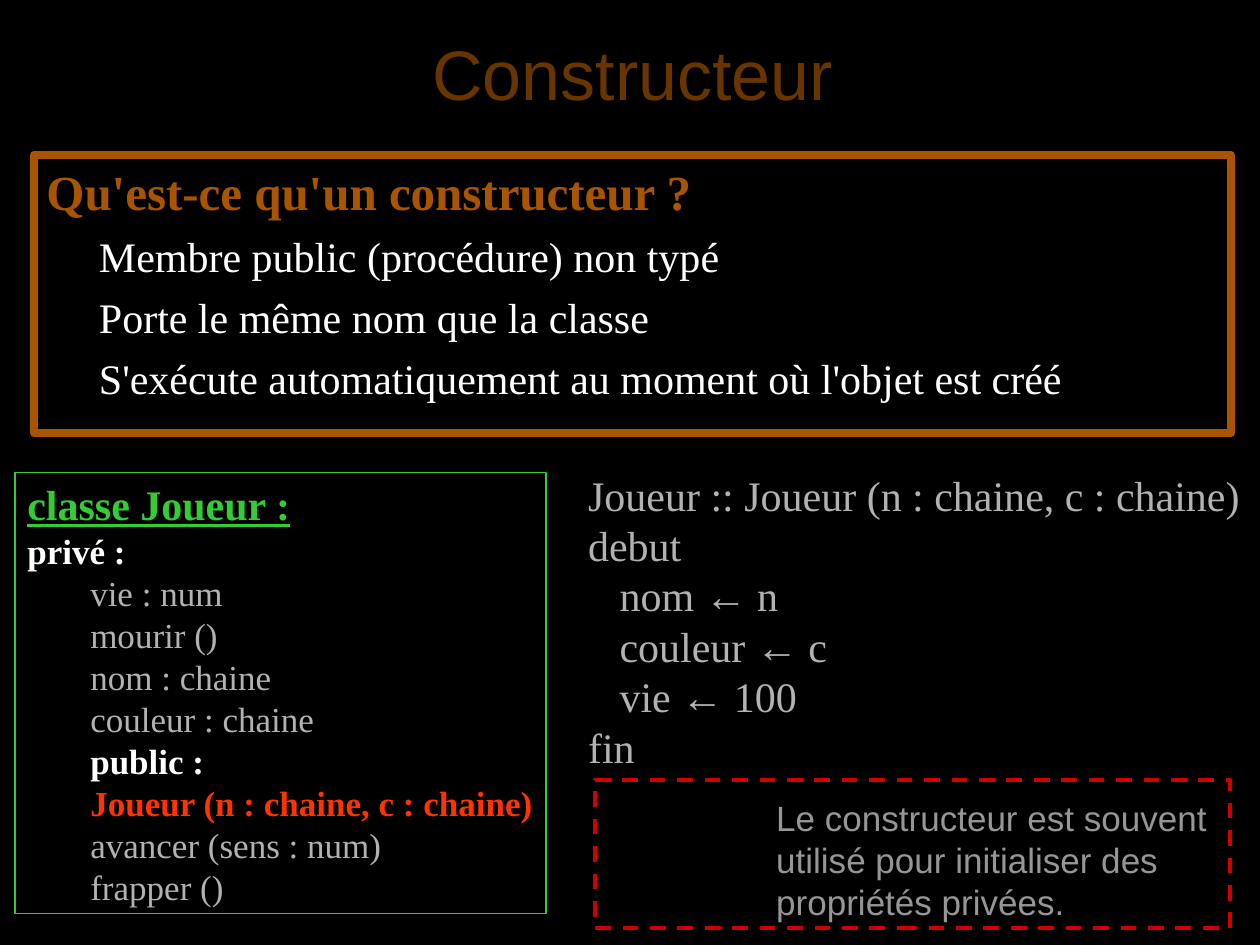
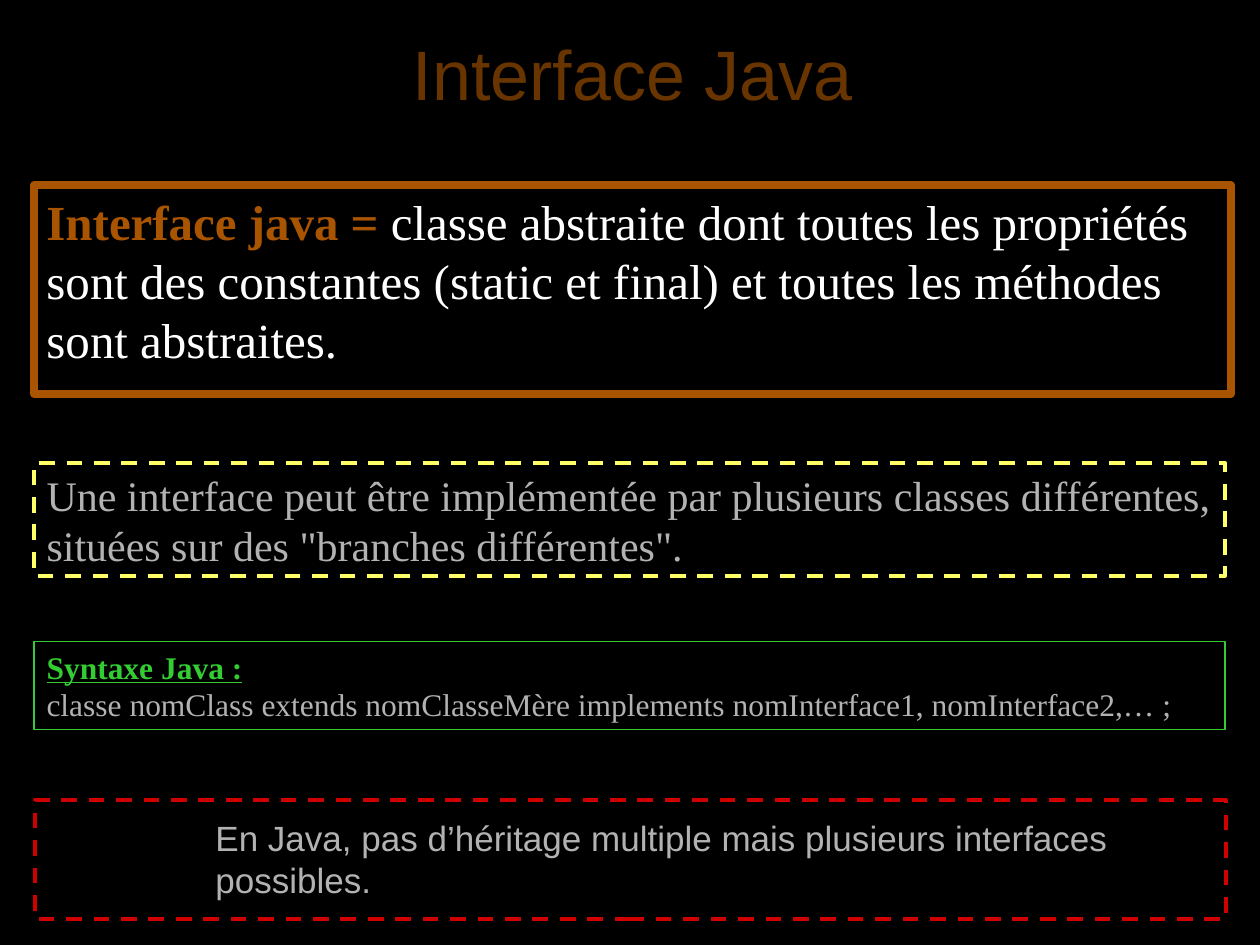
from dataclasses import dataclass

from lxml import etree
from pptx import Presentation, util as u
from pptx.dml.color import RGBColor
from pptx.enum import dml, shapes, text
from pptx.oxml.ns import qn


# Shared look
@dataclass(frozen=True)
class Theme:
    background: str = "000000"
    title: str = "683400"
    accent: str = "A85400"
    white: str = "FFFFFF"
    grey: str = "B2B2B2"
    dim_grey: str = "969696"
    green: str = "33CC33"
    red: str = "D00000"
    orange_red: str = "FF3300"
    yellow: str = "FFFF66"
    serif: str = "Times New Roman"
    sans: str = "Arial"
    title_size: int = 40
    heading_size: int = 28
    text_size: int = 24
    small_size: int = 20
    syntax_size: int = 18
    line_height: float = 1.2
    thin: float = 0.75
    dashed: float = 2.25
    thick: float = 4.5


THEME = Theme()


@dataclass
class Line:
    """One paragraph: a string, or a list of (text, run overrides)."""
    content: object
    size: int = THEME.text_size
    color: str = THEME.grey
    font: str = THEME.serif
    bold: bool = False
    underline: bool = False
    indent: float = 0
    before: float = 0


# Text
def format_font(font, name=None, size=None, color=None, bold=None, underline=None):
    if size is not None:
        font.size = u.Pt(size)
    if bold is not None:
        font.bold = bold
    if underline is not None:
        font.underline = underline
    if color is not None:
        font.color.rgb = RGBColor.from_string(color)
    if name is not None:
        font.name = name


def write_lines(shape, lines, right_inset=7.2):
    frame = shape.text_frame
    frame.word_wrap = True
    frame.vertical_anchor = text.MSO_ANCHOR.TOP
    frame.margin_right = u.Pt(right_inset)
    for index, line in enumerate(lines):
        paragraph = frame.paragraphs[0] if index == 0 else frame.add_paragraph()
        paragraph.alignment = text.PP_ALIGN.LEFT
        paragraph.line_spacing = u.Pt(line.size * THEME.line_height)
        if line.before:
            paragraph.space_before = u.Pt(line.before)
        if line.indent:
            properties = paragraph._p.get_or_add_pPr()
            properties.set("marL", str(u.Pt(line.indent)))
            properties.set("indent", "0")
        format_font(paragraph.font, line.font, line.size, line.color,
                    line.bold, line.underline)
        runs = [(line.content, {})] if isinstance(line.content, str) else line.content
        for words, overrides in runs:
            run = paragraph.add_run()
            run.text = words
            format_font(run.font, **overrides)


def add_text(slide, place, lines):
    write_lines(slide.shapes.add_textbox(*map(u.Pt, place)), lines)


# Frames
def add_frame(slide, place, color, width, dashed=False, lines=(), right_inset=7.2):
    frame = slide.shapes.add_shape(shapes.MSO_SHAPE.RECTANGLE, *map(u.Pt, place))
    frame.shadow.inherit = False
    frame.fill.background()
    frame.line.color.rgb = RGBColor.from_string(color)
    frame.line.width = u.Pt(width)
    if dashed:
        frame.line.dash_style = dml.MSO_LINE.DASH
    if lines:
        write_lines(frame, lines, right_inset)


def add_definition(slide, top, height, lines):
    add_frame(slide, (19.5, top, 684, height), THEME.accent, THEME.thick, lines=lines)


def add_remark(slide, frame_place, text_place, words, color):
    add_text(slide, text_place,
             [Line(words, THEME.small_size, color, THEME.sans)])
    add_frame(slide, frame_place, THEME.red, THEME.dashed, dashed=True)


# Slide with its shadowed title
def add_slide(presentation, title):
    slide = presentation.slides.add_slide(presentation.slide_layouts[5])
    shape = slide.shapes.title
    shape.left, shape.top, shape.width, shape.height = map(u.Pt, (19.5, 9.5, 684, 64))
    frame = shape.text_frame
    frame.vertical_anchor = text.MSO_ANCHOR.MIDDLE
    paragraph = frame.paragraphs[0]
    paragraph.alignment = text.PP_ALIGN.CENTER
    run = paragraph.add_run()
    run.text = title
    format_font(run.font, size=THEME.title_size, color=THEME.title)
    effects = etree.SubElement(run._r.get_or_add_rPr(), qn("a:effectLst"))
    shadow = etree.SubElement(effects, qn("a:outerShdw"),
                              dist=str(u.Pt(2)), dir="2700000")
    etree.SubElement(shadow, qn("a:srgbClr"), val=THEME.background)
    run.font.name = THEME.sans
    return slide


def assignment(target, value):
    return Line([(f"   {target} ", {}), ("←", {"name": THEME.sans}), (f" {value}", {})])


def build_constructor(presentation):
    slide = add_slide(presentation, "Constructeur")
    add_remark(slide, (340, 445.5, 363, 85), (436.5, 451.5, 266.5, 79),
               "Le constructeur est souvent utilisé pour initialiser des "
               "propriétés privées.", THEME.dim_grey)

    # Definition
    facts = ["Membre public (procédure) non typé",
             "Porte le même nom que la classe",
             "S'exécute automatiquement au moment où l'objet est créé"]
    add_definition(slide, 88.5, 159, [
        Line("Qu'est-ce qu'un constructeur ?", THEME.heading_size,
             THEME.accent, bold=True),
        *[Line(fact, color=THEME.white, indent=30, before=6) for fact in facts]])

    # Class outline
    def member(words, color=THEME.grey, bold=False, indent=36):
        return Line(words, THEME.small_size, color, bold=bold, indent=indent)

    add_frame(slide, (8.5, 270, 303.5, 252), THEME.green, THEME.thin, right_inset=0, lines=[
        Line("classe Joueur :", color=THEME.green, bold=True, underline=True),
        member("privé :", THEME.white, True, indent=0),
        *map(member, ["vie : num", "mourir ()", "nom : chaine", "couleur : chaine"]),
        member("public :", THEME.white, True),
        member("Joueur (n : chaine, c : chaine)", THEME.orange_red, True),
        *map(member, ["avancer (sens : num)", "frapper ()"])])

    # Constructor code
    add_text(slide, (329, 264.5, 391, 180), [
        Line("Joueur :: Joueur (n : chaine, c : chaine)"),
        Line("debut"),
        assignment("nom", "n"),
        assignment("couleur", "c"),
        assignment("vie", "100"),
        Line("fin")])


def build_interface(presentation):
    slide = add_slide(presentation, "Interface Java")

    # Syntax
    add_frame(slide, (19.5, 366.5, 680.5, 50.5), THEME.green, THEME.thin, lines=[
        Line("Syntaxe Java :", THEME.syntax_size, THEME.green,
             bold=True, underline=True),
        Line("classe nomClass extends nomClasseMère implements "
             "nomInterface1, nomInterface2,… ;", THEME.syntax_size)])

    add_remark(slide, (20, 457, 680.5, 68), (116, 463, 572.5, 55.5),
               "En Java, pas d’héritage multiple mais plusieurs interfaces "
               "possibles.", THEME.grey)

    # Definition
    add_definition(slide, 106, 119, [Line([
        ("Interface java =", {"color": THEME.accent, "bold": True}),
        (" classe abstraite dont toutes les propriétés sont des constantes "
         "(static et final) et toutes les méthodes sont abstraites.", {})],
        THEME.heading_size, THEME.white)])

    # Use of interfaces
    add_frame(slide, (19.5, 264.5, 680.5, 64.5), THEME.yellow, THEME.dashed, dashed=True,
              lines=[Line("Une interface peut être implémentée par plusieurs classes "
                          "différentes, situées sur des \"branches différentes\".")])


def main():
    presentation = Presentation()
    presentation.slide_width, presentation.slide_height = u.Pt(720), u.Pt(540)
    fill = presentation.slide_master.background.fill
    fill.solid()
    fill.fore_color.rgb = RGBColor.from_string(THEME.background)
    build_constructor(presentation)
    build_interface(presentation)
    presentation.save("out.pptx")


if __name__ == "__main__":
    main()
